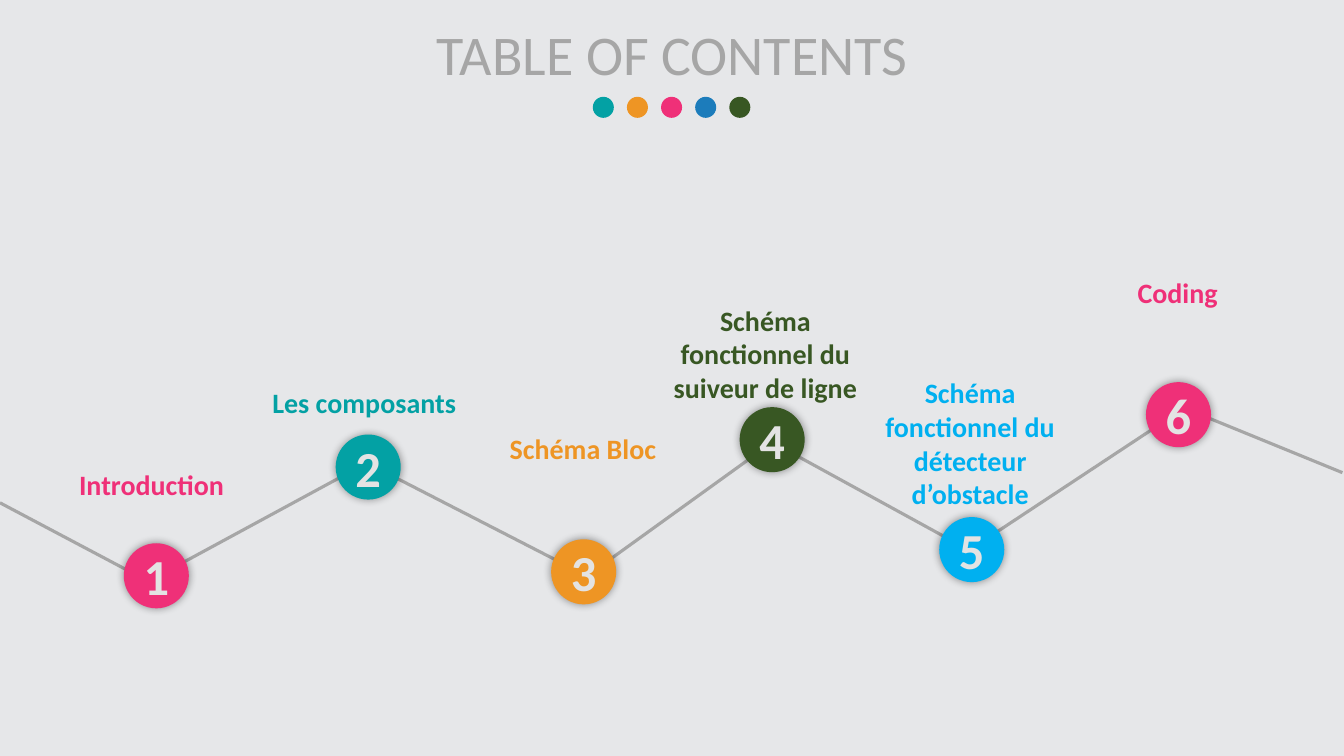
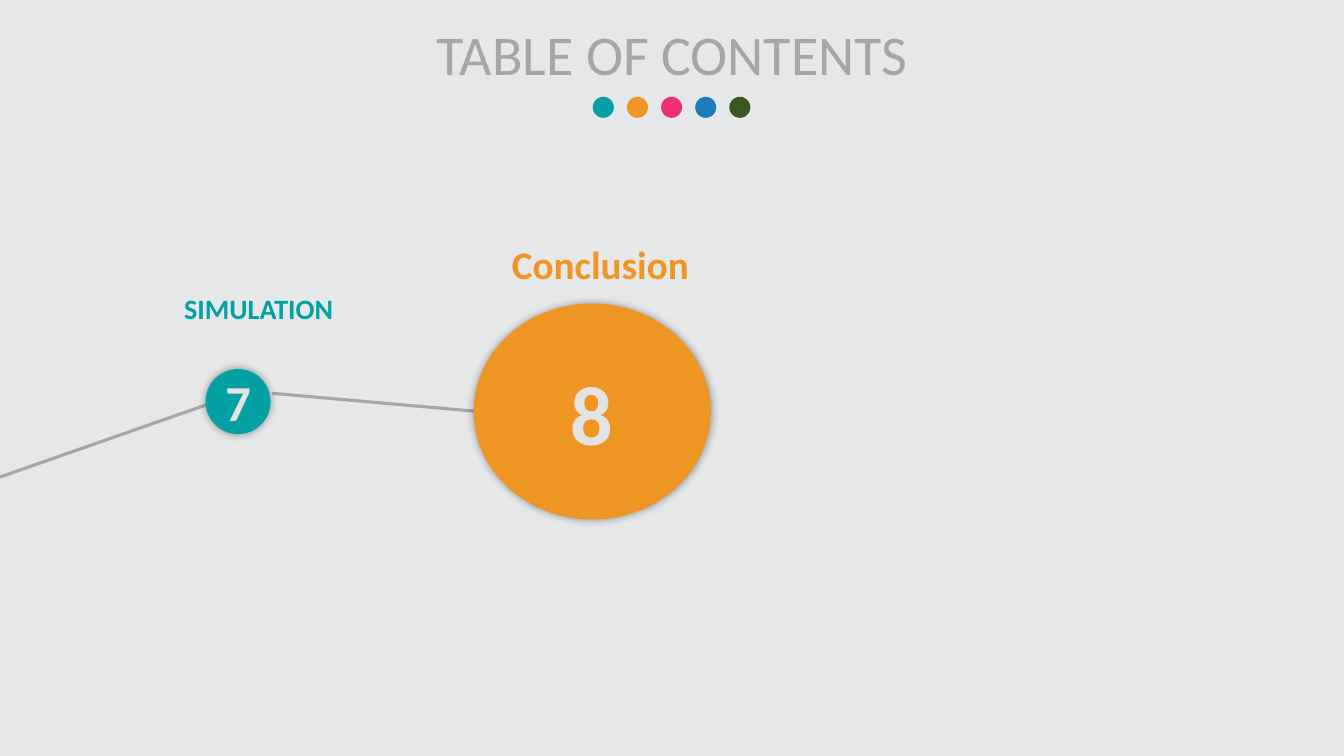
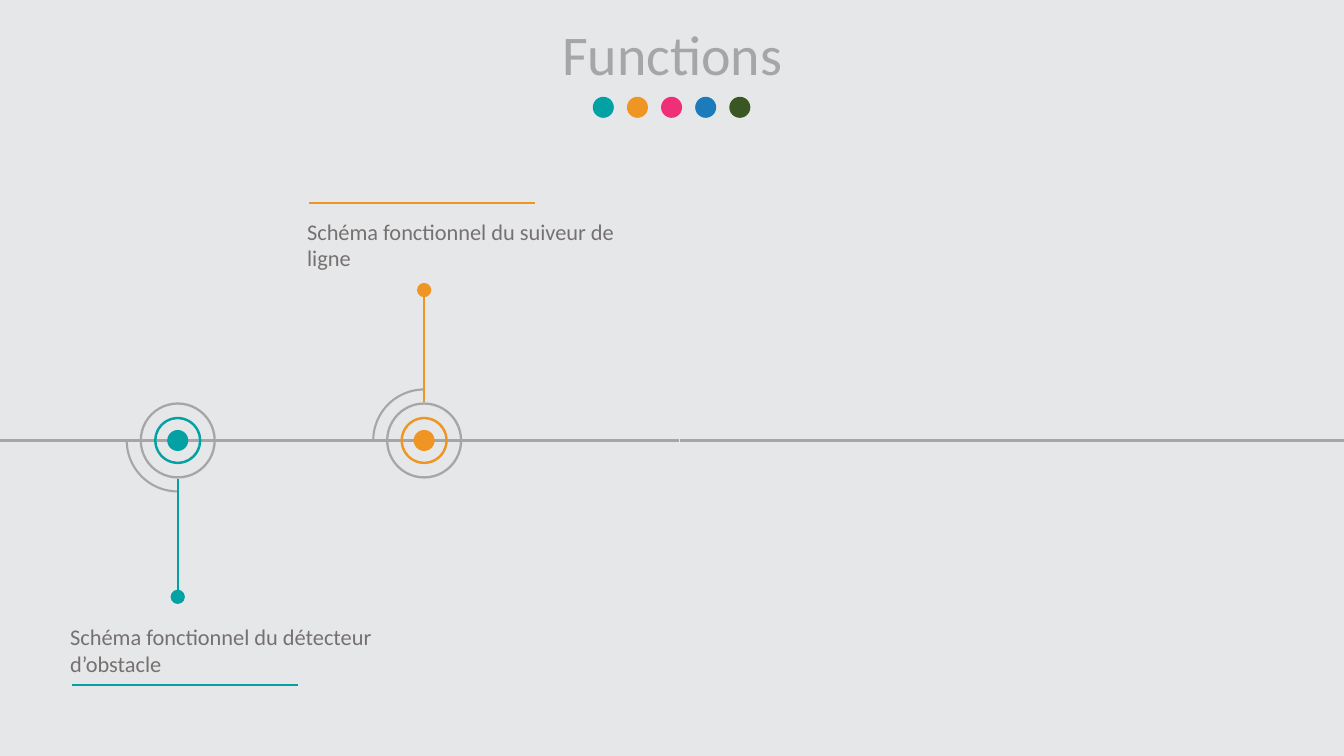
from dataclasses import dataclass
from typing import Any

from lxml import etree
from pptx import Presentation, util as u
from pptx.dml import color
from pptx.enum import shapes, text
from pptx.oxml import ns

FONT = "Calibri"
HUES = {
    "back": "E6E7E9",
    "grey": "A6A6A6",
    "body": "767171",
    "pale": "E3E3E3",
    "teal": "03A1A4",
    "gold": "EE9524",
    "pink": "EF3078",
    "blue": "1C7CBB",
    "green": "385723",
    "sky": "00B0F0",
    "black": "000000",
}
WIDE, HIGH = 33.87, 19.05
AXIS = 11.1
KIND = shapes.MSO_SHAPE


@dataclass
class Node:
    num: str
    hue: str
    left: float
    top: float
    label: str
    text_x: float
    text_y: float
    text_h: float = 1.12
    wide: float = 1.64
    high: float = 1.64
    num_pt: int = 36
    text_pt: int = 20


@dataclass
class Stop:
    hue: str
    mid: float
    turn: int
    rim: float
    knob: float
    label: str
    left: float
    top: float
    bar: float


CHAIN = [
    Node("1", "pink", 3.12, 13.69, "Introduction", 0.86, 11.66),
    Node("2", "teal", 8.46, 10.95, "Les composants", 6.22, 9.6),
    Node("3", "gold", 13.89, 13.59, "Schéma Bloc", 11.73, 10.74),
    Node("4", "green", 18.64, 10.26, "Schéma fonctionnel du suiveur de ligne",
         16.33, 7.52, 2.82),
    Node("5", "sky", 23.67, 13.03, "Schéma fonctionnel du détecteur d’obstacle",
         21.49, 9.35, 3.68),
    Node("6", "pink", 28.88, 9.63, "Coding", 26.72, 6.83),
]
CHAIN_LINKS = [
    (33.83, 11.91, 30.23, 10.44),
    (3.76, 14.66, 0, 12.67),
    (14.91, 14.43, 19.28, 11.28),
    (24.38, 13.84, 19.38, 11.1),
    (24.84, 13.59, 29.49, 10.52),
    (14.63, 14.43, 9.88, 11.99),
    (4.14, 14.43, 9.07, 11.76),
]
FINAL = [
    Node("7", "teal", 5.18, 9.3, "SIMULATION", 3.56, 7.21),
    Node("8", "gold", 11.94, 7.65, "Conclusion", 12.17, 5.94, 1.45,
         5.97, 5.44, 60, 28),
]
FINAL_LINKS = [(5.46, 10.11, 0, 12.02), (11.94, 10.36, 6.86, 9.91)]
SPANS = [(0, 4.27), (4.6, 10.87), (10.87, 17.12), (17.15, 23.42), (23.42, WIDE)]
STOPS = [
    Stop("teal", 4.48, 0, 12.07, 15.04,
         "Schéma fonctionnel du détecteur d’obstacle", 1.52, 15.57, 17.25),
    Stop("gold", 10.69, 90, 10.13, 7.31,
         "Schéma fonctionnel du suiveur de ligne", 7.49, 5.36, 5.11),
]


def tint(hue: str) -> color.RGBColor:
    return color.RGBColor.from_string(HUES[hue])


def shade(blur: float, dist: float) -> Any:
    root = etree.Element(ns.qn("a:effectLst"))
    drop = etree.SubElement(root, ns.qn("a:outerShdw"), blurRad=str(u.Pt(blur)),
                            dist=str(u.Pt(dist)), dir="2700000", algn="ctr",
                            rotWithShape="0")
    ink = etree.SubElement(drop, ns.qn("a:srgbClr"), val=HUES["black"])
    etree.SubElement(ink, ns.qn("a:alpha"), val="40000")
    return root


def write(slide: Any, words: str, x: float, y: float, w: float, h: float, *,
          size: int, hue: str, bold: bool = False, centre: bool = True,
          middle: bool = False, glow: bool = False) -> None:
    box = slide.shapes.add_textbox(u.Cm(x), u.Cm(y), u.Cm(w), u.Cm(h))
    frame = box.text_frame
    frame.word_wrap = True
    frame.vertical_anchor = text.MSO_ANCHOR.MIDDLE if middle else text.MSO_ANCHOR.TOP
    para = frame.paragraphs[0]
    para.alignment = text.PP_ALIGN.CENTER if centre else text.PP_ALIGN.LEFT
    run = para.add_run()
    run.text = words
    run.font.name = FONT
    run.font.size = u.Pt(size)
    run.font.bold = bold
    run.font.color.rgb = tint(hue)
    if glow:
        run.font._element.find(ns.qn("a:solidFill")).addnext(shade(4, 3))


def form(slide: Any, kind: Any, x: float, y: float, w: float, h: float,
         hue: str) -> Any:
    item = slide.shapes.add_shape(kind, u.Cm(x), u.Cm(y), u.Cm(w), u.Cm(h))
    item.shadow.inherit = False
    item.fill.solid()
    item.fill.fore_color.rgb = tint(hue)
    item.line.fill.background()
    return item


def round_at(slide: Any, kind: Any, x: float, y: float, size: float, hue: str) -> Any:
    return form(slide, kind, x - size / 2, y - size / 2, size, size, hue)


def link(slide: Any, x1: float, y1: float, x2: float, y2: float,
         hue: str = "grey", width: float = 1.5) -> None:
    line = slide.shapes.add_connector(shapes.MSO_CONNECTOR.STRAIGHT,
                                      u.Cm(x1), u.Cm(y1), u.Cm(x2), u.Cm(y2))
    line.line.color.rgb = tint(hue)
    line.line.width = u.Pt(width)
    etree.SubElement(line._element.spPr, ns.qn("a:effectLst"))


def start(deck: Any) -> Any:
    slide = deck.slides.add_slide(deck.slide_layouts[6])
    slide.background.fill.solid()
    slide.background.fill.fore_color.rgb = tint("back")
    return slide


def head(slide: Any, words: str) -> None:
    write(slide, words, 6.83, 0.36, 20.22, 1.96, size=40, hue="grey")
    for i, hue in enumerate(("teal", "gold", "pink", "blue", "green")):
        form(slide, KIND.OVAL, 14.94 + 0.86 * i, 2.44, 0.53, 0.53, hue)


def draw_node(slide: Any, node: Node) -> None:
    disc = form(slide, KIND.OVAL, node.left, node.top, node.wide, node.high, node.hue)
    props = disc._element.spPr
    props.replace(props.find(ns.qn("a:effectLst")), shade(6, 0))
    w, h = node.num_pt * 0.034, node.num_pt * 0.05
    write(slide, node.num, node.left + (node.wide - w) / 2,
          node.top + (node.high - h) / 2, w, h, size=node.num_pt, hue="pale",
          bold=True, middle=True, glow=True)


def draw_stop(slide: Any, stop: Stop) -> None:
    arc = round_at(slide, KIND.ARC, stop.mid, AXIS, 2.57, "grey")
    arc.fill.background()
    arc.line.color.rgb = tint("grey")
    arc.line.width = u.Pt(1.5)
    arc.adjustments[0], arc.adjustments[1] = 54.2, 108.53
    arc.rotation = stop.turn
    round_at(slide, KIND.OVAL, stop.mid, AXIS, 0.53, stop.hue)
    for size, hue, band in ((1.19, stop.hue, 0.05), (1.92, "grey", 0.03)):
        ring = round_at(slide, KIND.DONUT, stop.mid, AXIS, size, hue)
        ring.adjustments[0] = band
    link(slide, stop.mid, stop.knob, stop.mid, stop.rim, stop.hue)
    round_at(slide, KIND.OVAL, stop.mid, stop.knob, 0.36, stop.hue)
    write(slide, stop.label, stop.left, stop.top, 8.89, 1.63, size=16,
          hue="body", centre=False)
    bar_x = stop.left + 0.3
    link(slide, bar_x, stop.bar, bar_x + 5.69, stop.bar, stop.hue)


def contents(deck: Any, nodes: list[Node], links: list[tuple]) -> None:
    slide = start(deck)
    for ends in links:
        link(slide, *ends, width=2.25)
    head(slide, "TABLE OF CONTENTS")
    for node in nodes:
        draw_node(slide, node)
    for node in nodes:
        write(slide, node.label, node.text_x, node.text_y, 5.92, node.text_h,
              size=node.text_pt, hue=node.hue, bold=True)


def functions(deck: Any) -> None:
    slide = start(deck)
    for x1, x2 in SPANS:
        link(slide, x1, AXIS, x2, AXIS)
    for stop in STOPS:
        draw_stop(slide, stop)
    head(slide, "Functions")


def main() -> None:
    deck = Presentation()
    deck.slide_width, deck.slide_height = u.Cm(WIDE), u.Cm(HIGH)
    contents(deck, CHAIN, CHAIN_LINKS)
    contents(deck, FINAL, FINAL_LINKS)
    functions(deck)
    deck.save("out.pptx")


if __name__ == "__main__":
    main()
